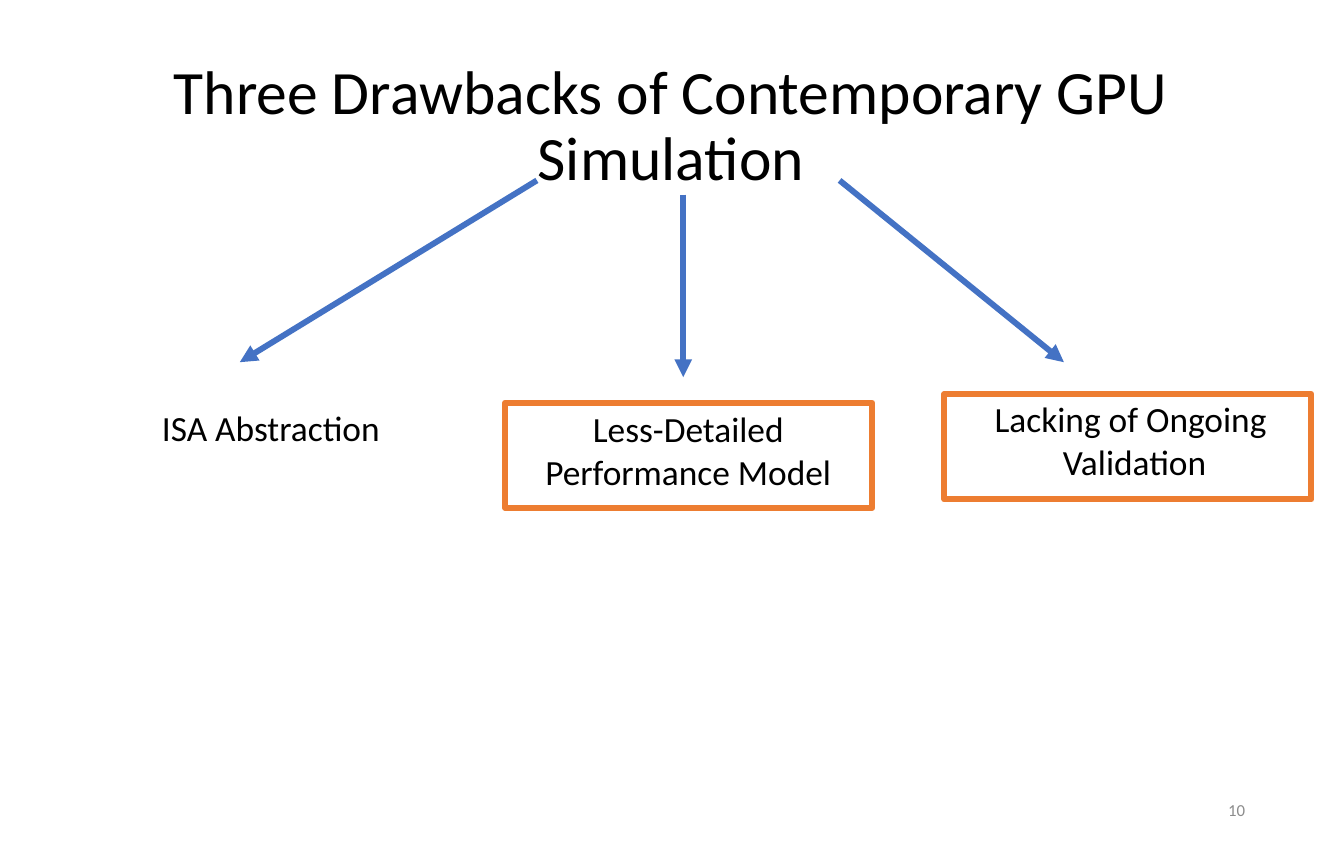
from dataclasses import dataclass
from typing import Optional

from lxml.etree import SubElement
from pptx import Presentation
from pptx.dml.color import RGBColor
from pptx.enum.shapes import MSO_CONNECTOR as Connector, MSO_SHAPE as Preset
from pptx.enum.text import MSO_ANCHOR as Anchor, MSO_AUTO_SIZE as AutoSize, PP_ALIGN as Align
from pptx.oxml.ns import qn
from pptx.util import Pt

BLACK, GREY, BLUE, ORANGE = "000000", "8C8C8C", "4472C4", "ED7D31"
LINE_WIDTH = 6
HIGHLIGHT_SIZE = (373.7, 107.3)

Point = tuple[float, float]
Box = tuple[float, float, float, float]


@dataclass
class Drawback:
    lines: list[str]
    label: Box
    arrow_start: Point
    arrow_end: Point
    highlight: Optional[Point] = None


DRAWBACKS = [
    Drawback(["ISA Abstraction"], (156.2, 409.7, 239, 51.1),
             (546.5, 183.6), (244.1, 368.6)),
    Drawback(["Less-Detailed", "Performance Model"], (546.5, 411.1, 308.2, 94.3),
             (695.5, 198), (695.5, 383.8), (514.1, 409.7)),
    Drawback(["Lacking of Ongoing ", "Validation"], (1003.7, 401, 302.4, 94.3),
             (854.6, 183.6), (1082.9, 368.6), (961.2, 401)),
]


def points(values) -> list:
    return [Pt(value) for value in values]


def paint(color_format, hex_color: str) -> None:
    color_format.rgb = RGBColor.from_string(hex_color)


def apply(target, formats: dict) -> None:
    for attribute, value in formats.items():
        setattr(target, attribute, value)


def write(frame, lines: list[str], size: float, color: str = BLACK,
          align=Align.CENTER, spacing: float = 1.0) -> None:
    frame.text = "\n".join(lines)
    for paragraph in frame.paragraphs:
        apply(paragraph, {"alignment": align, "line_spacing": spacing})
        for run in paragraph.runs:
            apply(run.font, {"name": "Calibri", "size": Pt(size)})
            paint(run.font.color, color)


def draw_arrow(slide, start: Point, end: Point) -> None:
    arrow = slide.shapes.add_connector(Connector.STRAIGHT, *points(start + end))
    arrow.line.width = Pt(LINE_WIDTH)
    paint(arrow.line.color, BLUE)
    SubElement(arrow.line._get_or_add_ln(), qn("a:tailEnd"), type="triangle")
    SubElement(arrow._element.spPr, qn("a:effectLst"))


def draw_highlight(slide, corner: Point) -> None:
    highlight = slide.shapes.add_shape(Preset.RECTANGLE, *points(corner + HIGHLIGHT_SIZE))
    highlight.shadow.inherit = False
    highlight.fill.background()
    highlight.line.width = Pt(LINE_WIDTH)
    paint(highlight.line.color, ORANGE)


def draw_drawback(slide, drawback: Drawback) -> None:
    draw_arrow(slide, drawback.arrow_start, drawback.arrow_end)
    if drawback.highlight:
        draw_highlight(slide, drawback.highlight)
    label = slide.shapes.add_textbox(*points(drawback.label)).text_frame
    write(label, drawback.lines, 36)
    apply(label, {"word_wrap": False, "auto_size": AutoSize.SHAPE_TO_FIT_TEXT})


def main() -> None:
    deck = Presentation()
    apply(deck, {"slide_width": Pt(1368), "slide_height": Pt(864)})
    slide = deck.slides.add_slide(deck.slide_layouts[5])

    # Title
    title = slide.shapes.title
    apply(title, dict(zip(("left", "top", "width", "height"),
                          points((31, 46.1, 1303.9, 167)))))
    write(title.text_frame, ["Three Drawbacks of Contemporary GPU Simulation"], 62.7,
          spacing=0.9)
    apply(title.text_frame, {"word_wrap": True, "auto_size": AutoSize.NONE,
                             "vertical_anchor": Anchor.MIDDLE})

    # Drawbacks with their arrows
    for drawback in DRAWBACKS:
        draw_drawback(slide, drawback)

    # Page number
    page_number = slide.shapes.add_textbox(*points((966.2, 800.6, 308.2, 46.1))).text_frame
    write(page_number, ["10"], 17.1, GREY, Align.RIGHT)
    apply(page_number, {"word_wrap": True, "vertical_anchor": Anchor.MIDDLE})

    deck.save("out.pptx")


if __name__ == "__main__":
    main()
